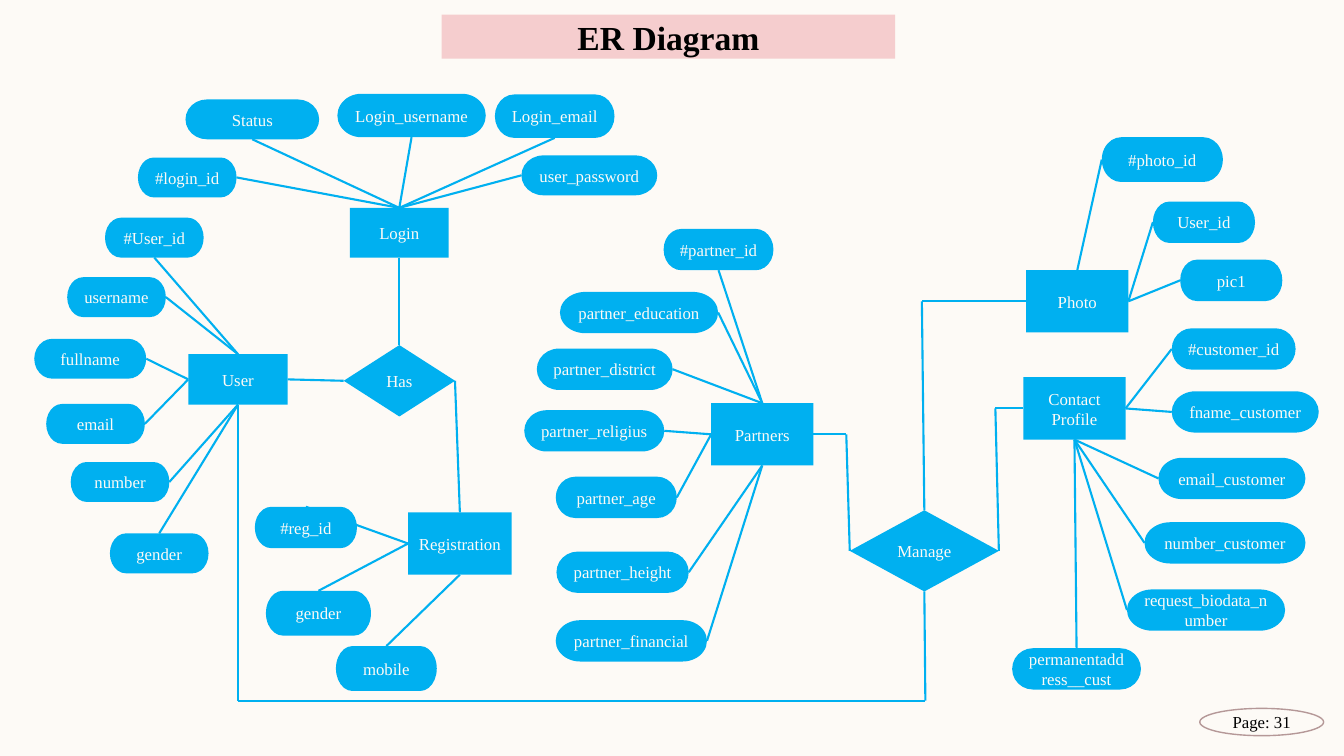
from lxml import etree
from pptx import Presentation
from pptx import util as u
from pptx.dml import color
from pptx.enum import shapes, text
from pptx.oxml import ns

COLOURS = {
    "background": "FDFAF6",
    "diagram": "00B0F0",
    "label": "FDFAF6",
    "title_band": "F5CDCE",
    "page_ring": "B59898",
    "ink": "000000",
}
FONT = "Times New Roman"
TOP, LEFT, BOTTOM, RIGHT = range(4)

ENTITIES = {
    "Login": ((250, 148.5, 70.5, 35.5), [
        ("Status", (-117.5, -77.5, 95.5, 28.5), BOTTOM, TOP),
        ("#login_id", (-151.5, -36, 70.5, 28.5), RIGHT, TOP),
        ("Login_username", (-9, -81.5, 106, 31), BOTTOM, TOP),
        ("Login_email", (103.5, -81, 85.5, 31), BOTTOM, TOP),
        ("user_password", (122.5, -37.5, 97, 28.5), LEFT, TOP),
    ]),
    "User": ((134.5, 253, 71, 36), [
        ("#User_id", (-59.5, -97.5, 70.5, 28.5), BOTTOM, TOP),
        ("username", (-86.5, -55, 70.5, 28.5), RIGHT, TOP),
        ("fullname", (-110, -11, 80, 28.5), RIGHT, LEFT),
        ("email", (-101.5, 35.5, 70.5, 28.5), RIGHT, LEFT),
        ("number", (-84, 77, 70.5, 28.5), RIGHT, BOTTOM),
        ("gender", (-56, 128, 70.5, 28.5), TOP, BOTTOM),
    ]),
    "Registration": ((291.5, 366, 74, 44.5), [
        ("#reg_id", (-109.5, -4, 73, 29.5), TOP, LEFT),
        ("gender", (-101.5, 56, 75, 32), TOP, LEFT),
        ("mobile", (-51.5, 95.5, 72, 32), TOP, BOTTOM),
    ]),
    "Partners": ((508, 288, 73, 44.5), [
        ("#partner_id", (-34, -124.5, 78.5, 29.5), BOTTOM, TOP),
        ("partner_education", (-108, -79.5, 113, 29.5), RIGHT, TOP),
        ("partner_district", (-124.5, -39, 97, 29.5), RIGHT, TOP),
        ("partner_religius", (-133.5, 5, 100, 29.5), RIGHT, LEFT),
        ("partner_age", (-111, 52.5, 86.5, 29.5), RIGHT, LEFT),
        ("partner_height", (-110.5, 106, 94.5, 29.5), RIGHT, BOTTOM),
        ("partner_financial", (-111, 155, 108, 29.5), RIGHT, BOTTOM),
    ]),
    "Photo": ((733, 193, 73, 44.5), [
        ("#photo_id", (54, -95, 86.5, 32), LEFT, TOP),
        ("User_id", (90.5, -49, 73, 29.5), LEFT, RIGHT),
        ("pic1", (110, -7.5, 73, 29.5), LEFT, RIGHT),
    ]),
    "Contact Profile": ((731, 269.5, 73, 44.5), [
        ("#customer_id", (106, -35, 88.5, 29.5), LEFT, RIGHT),
        ("fname_customer", (106, 10, 105, 29.5), LEFT, RIGHT),
        ("email_customer", (96.5, 57.5, 105, 29.5), LEFT, BOTTOM),
        ("number_customer", (86.5, 103.5, 115, 29.5), LEFT, BOTTOM),
        ("request_biodata_number", (74, 151.5, 113, 29.5), LEFT, BOTTOM),
        ("permanentaddress__cust", (-8, 193.5, 92, 29.5), TOP, BOTTOM),
    ]),
}

RELATIONSHIPS = {
    "Has": ((245.5, 246.5, 79.5, 51), [
        ("Login", BOTTOM, TOP, []),
        ("User", RIGHT, LEFT, []),
        ("Registration", TOP, RIGHT, []),
    ]),
    "Manage": ((607, 364.5, 106.5, 58), [
        ("Partners", RIGHT, LEFT, [(-2.5, -54.25)]),
        ("Photo", LEFT, TOP, [(51.5, -149.25)]),
        ("Contact Profile", LEFT, RIGHT, [(104, -72.75)]),
        ("User", BOTTOM, BOTTOM, [(-437, 136), (54, 136)]),
    ]),
}


def rgb(name):
    """Return the named colour."""
    return color.RGBColor.from_string(COLOURS[name])


def offset(box, part):
    """Move a part given relative to a box into slide coordinates."""
    return (box[0] + part[0], box[1] + part[1], *part[2:])


def write(shape, words, size=12, ink="label", bold=False):
    """Put centred, formatted text into a shape."""
    frame = shape.text_frame
    frame.word_wrap = True
    frame.auto_size = text.MSO_AUTO_SIZE.NONE
    frame.vertical_anchor = text.MSO_ANCHOR.MIDDLE
    para = frame.paragraphs[0]
    para.alignment = text.PP_ALIGN.CENTER
    span = para.add_run()
    span.text = words
    span.font.name = FONT
    span.font.size = u.Pt(size)
    span.font.bold = bold
    span.font.color.rgb = rgb(ink)


def add_node(page, kind, box, words):
    """Draw one filled, labelled diagram shape."""
    node = page.shapes.add_shape(kind, *map(u.Pt, box))
    node.shadow.inherit = False
    node.fill.solid()
    node.fill.fore_color.rgb = rgb("diagram")
    node.line.fill.background()
    write(node, words)
    return node


def link(page, start, start_side, end, end_side, corners=()):
    """Join two shapes with straight segments through the corners."""
    points = [(0, 0), *corners, (0, 0)]
    lines = []
    for head, tail in zip(points, points[1:]):
        line = page.shapes.add_connector(
            shapes.MSO_CONNECTOR.STRAIGHT, *map(u.Pt, head + tail))
        line.line.color.rgb = rgb("diagram")
        line.line.width = u.Pt(1.5)
        etree.SubElement(line._element.spPr, ns.qn("a:effectLst"))
        lines.append(line)
    lines[0].begin_connect(start, start_side)
    lines[-1].end_connect(end, end_side)


def draw_entity(page, box, name, attributes):
    """Draw an entity with its attributes around it."""
    entity = add_node(page, shapes.MSO_SHAPE.RECTANGLE, box, name)
    for words, part, side, entity_side in attributes:
        attribute = add_node(page, shapes.MSO_SHAPE.FLOWCHART_TERMINATOR,
                             offset(box, part), words)
        link(page, attribute, side, entity, entity_side)
    return entity


def draw_relationship(page, box, name, links, entities):
    """Draw a relationship diamond and its routes to entities."""
    diamond = add_node(page, shapes.MSO_SHAPE.FLOWCHART_DECISION, box, name)
    for entity, entity_side, side, corners in links:
        route = [offset(box, corner) for corner in corners]
        link(page, entities[entity], entity_side, diamond, side, route)


def draw_title(page, box, words):
    """Format the title placeholder as a coloured band."""
    title = page.shapes.title
    title.left, title.top, title.width, title.height = map(u.Pt, box)
    title.fill.solid()
    title.fill.fore_color.rgb = rgb("title_band")
    write(title, words, size=24, ink="ink", bold=True)


def draw_page_number(page, box, words):
    """Draw the ringed page number."""
    ring = page.shapes.add_shape(shapes.MSO_SHAPE.OVAL, *map(u.Pt, box))
    ring.shadow.inherit = False
    ring.fill.background()
    ring.line.color.rgb = rgb("page_ring")
    ring.line.width = u.Pt(1)
    write(ring, words, ink="ink")


def main():
    """Build the deck and save it."""
    deck = Presentation()
    deck.slide_width, deck.slide_height = u.Pt(960), u.Pt(540)
    page = deck.slides.add_slide(deck.slide_layouts[5])
    page.background.fill.solid()
    page.background.fill.fore_color.rgb = rgb("background")
    draw_title(page, (315.5, 10.5, 324, 31.5), "ER Diagram")
    entities = {name: draw_entity(page, box, name, attributes)
                for name, (box, attributes) in ENTITIES.items()}
    for name, (box, links) in RELATIONSHIPS.items():
        draw_relationship(page, box, name, links, entities)
    draw_page_number(page, (857, 506, 88.5, 19.5), "Page: 31")
    deck.save("out.pptx")


if __name__ == "__main__":
    main()
